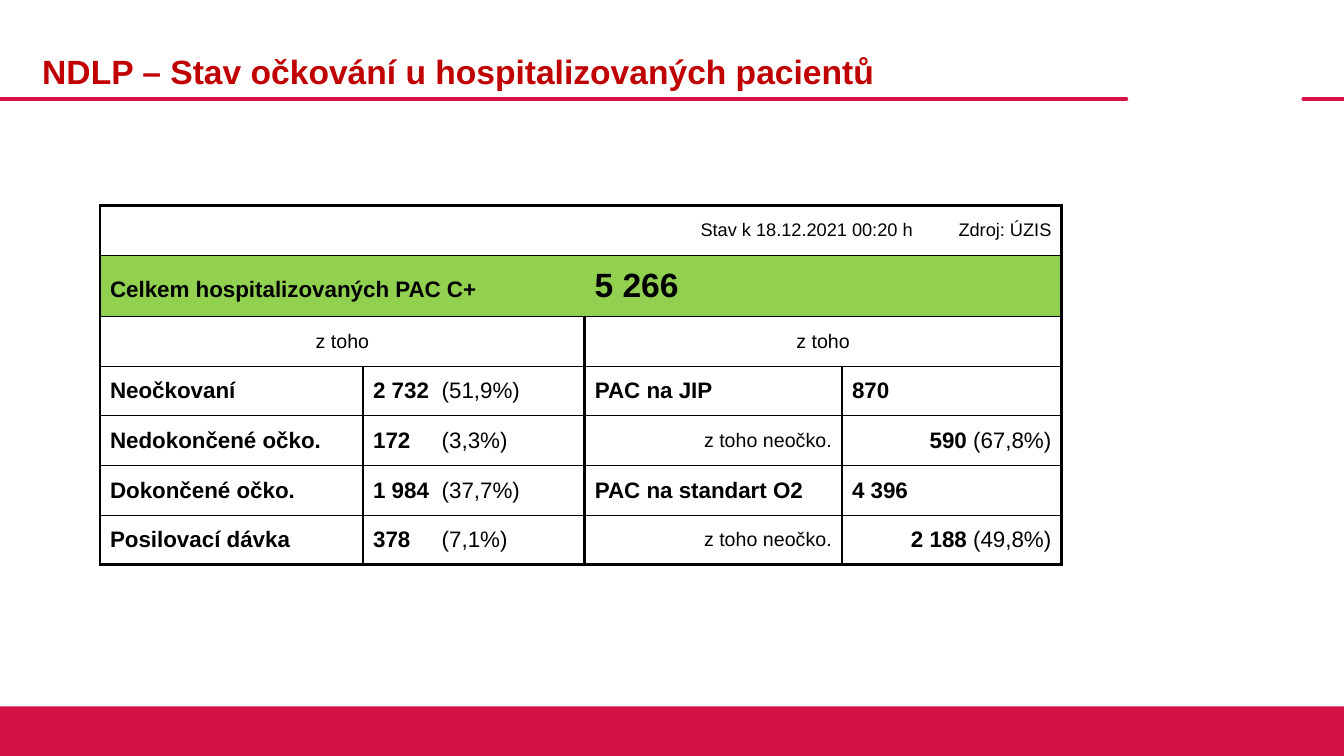
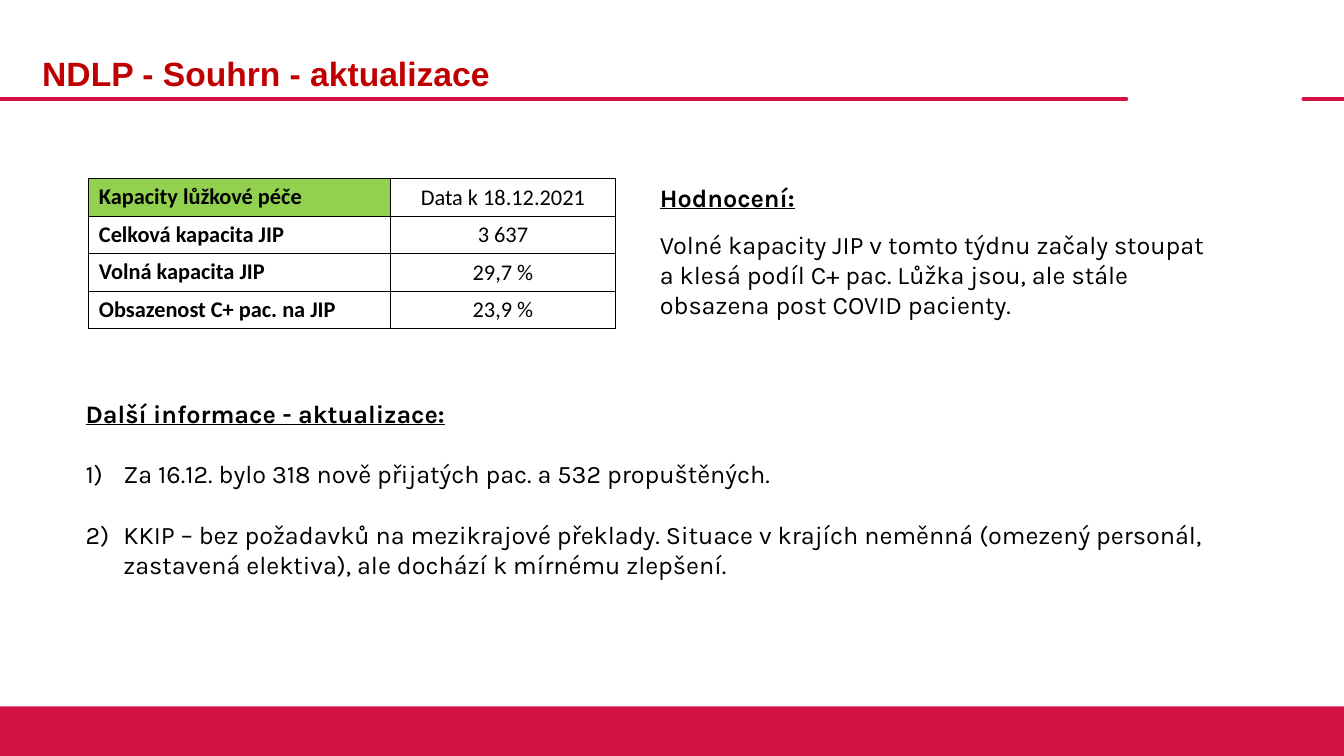
import pptx
import pptx.util
import pptx.dml.color
import pptx.enum.shapes
import pptx.enum.text
import pptx.oxml
import pptx.oxml.ns
import lxml.etree

Cm, Pt = pptx.util.Cm, pptx.util.Pt
RGB = pptx.dml.color.RGBColor
ALIGN = pptx.enum.text.PP_ALIGN
MID = pptx.enum.text.MSO_ANCHOR.MIDDLE
TOP = pptx.enum.text.MSO_ANCHOR.TOP
qn = pptx.oxml.ns.qn

RED = RGB(0xD3, 0x11, 0x45)
DARK = RGB(0xC0, 0x00, 0x00)
GREEN = RGB(0x92, 0xD0, 0x50)
BLACK = RGB(0, 0, 0)
NO_GRID = "{2D5ABB26-0587-4C30-8999-92F81FD0307C}"

WIDE, HIGH = 33.87, 19.05
RULES = [(0, 28.38), (32.85, WIDE)]
RULE_Y = 2.49
BAND_Y = 17.8

THICK, THIN, FINE = 2.25, 1, 0.75
BOLD = {"size": Pt(16), "bold": True}
NOTE = {"size": Pt(14)}
STAMP = {"size": Pt(13)}
PLAIN = {"bold": False}
BIG = {"size": Pt(24)}
L, C, R = ALIGN.LEFT, ALIGN.CENTER, ALIGN.RIGHT

# Each cell: column span, alignment, paragraph style, runs as (text, changes)
STATE_COLS = [6.02, 0.6, 5.59, 6.48, 2.03, 3.5]
STATE_ROWS = [1.26, 1.54] + [1.25] * 5
STATE = [
    [(1, L, STAMP, []), (2, L, STAMP, []),
     (2, R, STAMP, [("Stav k 18.12.2021 00:20 h", {})]),
     (1, R, STAMP, [("Zdroj: ÚZIS", {})])],
    [(6, L, BOLD, [("Celkem hospitalizovaných PAC C+\t", {}), ("5 266", BIG)])],
    [(3, C, NOTE, [("z toho", {})]), (3, C, NOTE, [("z toho", {})])],
    [(2, L, BOLD, [("Neočkovaní", {})]),
     (1, L, BOLD, [("2 732\t", {}), ("(51,9%)", PLAIN)]),
     (1, L, BOLD, [("PAC na JIP", {})]),
     (2, L, BOLD, [("870", {})])],
    [(2, L, BOLD, [("Nedokončené očko.", {})]),
     (1, L, BOLD, [("172\t", {}), ("(3,3%)", PLAIN)]),
     (1, R, NOTE, [("z toho neočko.", {})]),
     (2, R, BOLD, [("590 ", {}), ("(67,8%)", PLAIN)])],
    [(2, L, BOLD, [("Dokončené očko.", {})]),
     (1, L, BOLD, [("1 984\t", {}), ("(37,7%)", PLAIN)]),
     (1, L, BOLD, [("PAC na standart O2", {})]),
     (2, L, BOLD, [("4 396", {})])],
    [(2, L, BOLD, [("Posilovací dávka", {})]),
     (1, L, BOLD, [("378\t", {}), ("(7,1%)", PLAIN)]),
     (1, R, NOTE, [("z toho neočko.", {})]),
     (2, R, BOLD, [("2 188 ", {}), ("(49,8%)", PLAIN)])],
]
TOTAL_ROW, SPLIT_COL = 1, 3
TOTAL_TAB, SHARE_TAB = sum(STATE_COLS[:SPLIT_COL]), 1.73

BEDS = [
    ("Kapacity lůžkové péče", "Data k 18.12.2021"),
    ("Celková kapacita JIP", "3 637"),
    ("Volná kapacita JIP", "29,7 %"),
    ("Obsazenost C+ pac. na JIP", "23,9 %"),
]
BED_COLS = [7.6, 5.67]
BED_ROW = 0.94

NEWS = [
    "Za 16.12. bylo 318 nově přijatých pac. a 532 propuštěných.",
    "KKIP – bez požadavků na mezikrajové překlady. Situace v krajích neměnná "
    "(omezený personál, zastavená elektiva), ale dochází k mírnému zlepšení.",
]
VIEW = ("Volné kapacity JIP v tomto týdnu začaly stoupat a klesá podíl C+ pac. "
        "Lůžka jsou, ale stále obsazena post COVID pacienty.")


def style(font, props):
    for key, value in props.items():
        setattr(font, key, value)


def write(para, runs, face, props, align=L, color=BLACK):
    """Fill a paragraph with (text, changes) runs over one base style."""
    para.alignment = align
    para.font.name = face
    para.font.color.rgb = color
    style(para.font, props)
    for text, changes in runs:
        run = para.add_run()
        run.text = text
        style(run.font, changes)


def add_tab(para, pos):
    tabs = lxml.etree.SubElement(para._p.get_or_add_pPr(), qn("a:tabLst"))
    lxml.etree.SubElement(tabs, qn("a:tab"), pos=str(Cm(pos)), algn="l")


def number(para):
    props = para._p.get_or_add_pPr()
    props.set("marL", str(Cm(0.95)))
    props.set("indent", str(-Cm(0.95)))
    lxml.etree.SubElement(props, qn("a:buFont"), typeface="+mj-lt")
    lxml.etree.SubElement(props, qn("a:buAutoNum"), type="arabicParenR")


def add_rule(slide, start, end):
    rule = slide.shapes.add_connector(
        pptx.enum.shapes.MSO_CONNECTOR.STRAIGHT,
        Cm(start), Cm(RULE_Y), Cm(end), Cm(RULE_Y))
    rule.line.color.rgb = RED
    rule.line.width = Pt(3)
    props = rule._element.spPr
    props.find(qn("a:ln")).set("cap", "rnd")
    lxml.etree.SubElement(props, qn("a:effectLst"))


def add_slide(deck, title, top):
    """Add a slide with the shared title, rules and bottom band."""
    slide = deck.slides.add_slide(deck.slide_layouts[5])
    head = slide.shapes.title
    head.left, head.top, head.width, head.height = (
        Cm(0.81), Cm(top), Cm(27.46), Cm(2.49))
    head.text_frame.vertical_anchor = MID
    para = head.text_frame.paragraphs[0]
    para.line_spacing = 0.9
    write(para, [(title, {})], "Arial", {"size": Pt(24), "bold": True}, color=DARK)
    for start, end in RULES:
        add_rule(slide, start, end)
    band = slide.shapes.add_shape(
        pptx.enum.shapes.MSO_SHAPE.RECTANGLE,
        0, Cm(BAND_Y), Cm(WIDE), Cm(HIGH - BAND_Y))
    band.shadow.inherit = False
    band.fill.solid()
    band.fill.fore_color.rgb = RED
    band.line.fill.background()
    return slide


def add_table(slide, left, top, cols, rows):
    frame = slide.shapes.add_table(len(rows), len(cols), Cm(left), Cm(top),
                                   Cm(sum(cols)), Cm(sum(rows)))
    table = frame.table
    table.first_row = table.horz_banding = False
    table._tbl.tblPr.find(qn("a:tableStyleId")).text = NO_GRID
    for col, width in zip(table.columns, cols):
        col.width = Cm(width)
    for row, height in zip(table.rows, rows):
        row.height = Cm(height)
    return table


def dress(cell, edges, fill, anchor):
    """Set borders (left, right, top, bottom; 0 is none), fill and anchor."""
    props = cell._tc.get_or_add_tcPr()
    for side, weight in zip("LRTB", edges):
        line = lxml.etree.SubElement(props, qn("a:ln" + side), w=str(Pt(weight)))
        if weight:
            paint = lxml.etree.SubElement(line, qn("a:solidFill"))
            lxml.etree.SubElement(paint, qn("a:srgbClr"), val=str(BLACK))
        else:
            lxml.etree.SubElement(line, qn("a:noFill"))
    if fill:
        cell.fill.solid()
        cell.fill.fore_color.rgb = fill
    else:
        cell.fill.background()
    cell.vertical_anchor = anchor


def upright(row, edge):
    """Weight of the vertical line at a column edge of the state table."""
    if edge in (0, len(STATE_COLS)):
        return THICK
    if row <= TOTAL_ROW:
        return 0
    return THICK if edge == SPLIT_COL else THIN


def level(edge):
    return THICK if edge in (0, len(STATE)) else THIN


def add_state(slide):
    table = add_table(slide, 2.52, 5.18, STATE_COLS, STATE_ROWS)
    for row, items in enumerate(STATE):
        col = 0
        for span, align, props, runs in items:
            end = col + span
            cell = table.cell(row, col)
            if span > 1:
                cell.merge(table.cell(row, end - 1))
            edges = (upright(row, col), upright(row, end), level(row), level(row + 1))
            dress(cell, edges, GREEN if row == TOTAL_ROW else None, MID)
            para = cell.text_frame.paragraphs[0]
            if any("\t" in text for text, _ in runs):
                add_tab(para, TOTAL_TAB if row == TOTAL_ROW else SHARE_TAB)
            write(para, runs, "Arial", props, align)
            col = end


def add_beds(slide):
    table = add_table(slide, 2.24, 4.5, BED_COLS, [BED_ROW] * len(BEDS))
    for row, texts in enumerate(BEDS):
        for col, text in enumerate(texts):
            cell = table.cell(row, col)
            dress(cell, [FINE] * 4, GREEN if row == col == 0 else None,
                  MID if col else TOP)
            write(cell.text_frame.paragraphs[0], [(text, {})], "Calibri",
                  {"size": Pt(16), "bold": col == 0}, C if col else L)


def add_text(slide, box, head, items, gap, listed=False):
    """Add an underlined heading with paragraphs spaced by gap points."""
    frame = slide.shapes.add_textbox(*map(Cm, box)).text_frame
    frame.word_wrap = True
    write(frame.paragraphs[0], [(head, {})], "Karla",
          {"size": Pt(18), "bold": True, "underline": True})
    for item in items:
        para = frame.add_paragraph()
        if listed:
            number(para)
        para.space_before = Pt(gap)
        write(para, [(item, {})], "Karla", {"size": Pt(18)})


def main():
    deck = pptx.Presentation()
    deck.slide_width, deck.slide_height = Cm(WIDE), Cm(HIGH)
    add_state(add_slide(deck, "NDLP – Stav očkování u hospitalizovaných pacientů", 0.61))
    slide = add_slide(deck, "NDLP - Souhrn - aktualizace", 0.66)
    add_beds(slide)
    add_text(slide, (1.91, 9.9, 29.36, 5.64), "Další informace - aktualizace:",
             NEWS, 21.8, listed=True)
    add_text(slide, (16.38, 4.46, 14.6, 3.76), "Hodnocení:", [VIEW], 12)
    deck.save("out.pptx")


if __name__ == "__main__":
    main()
